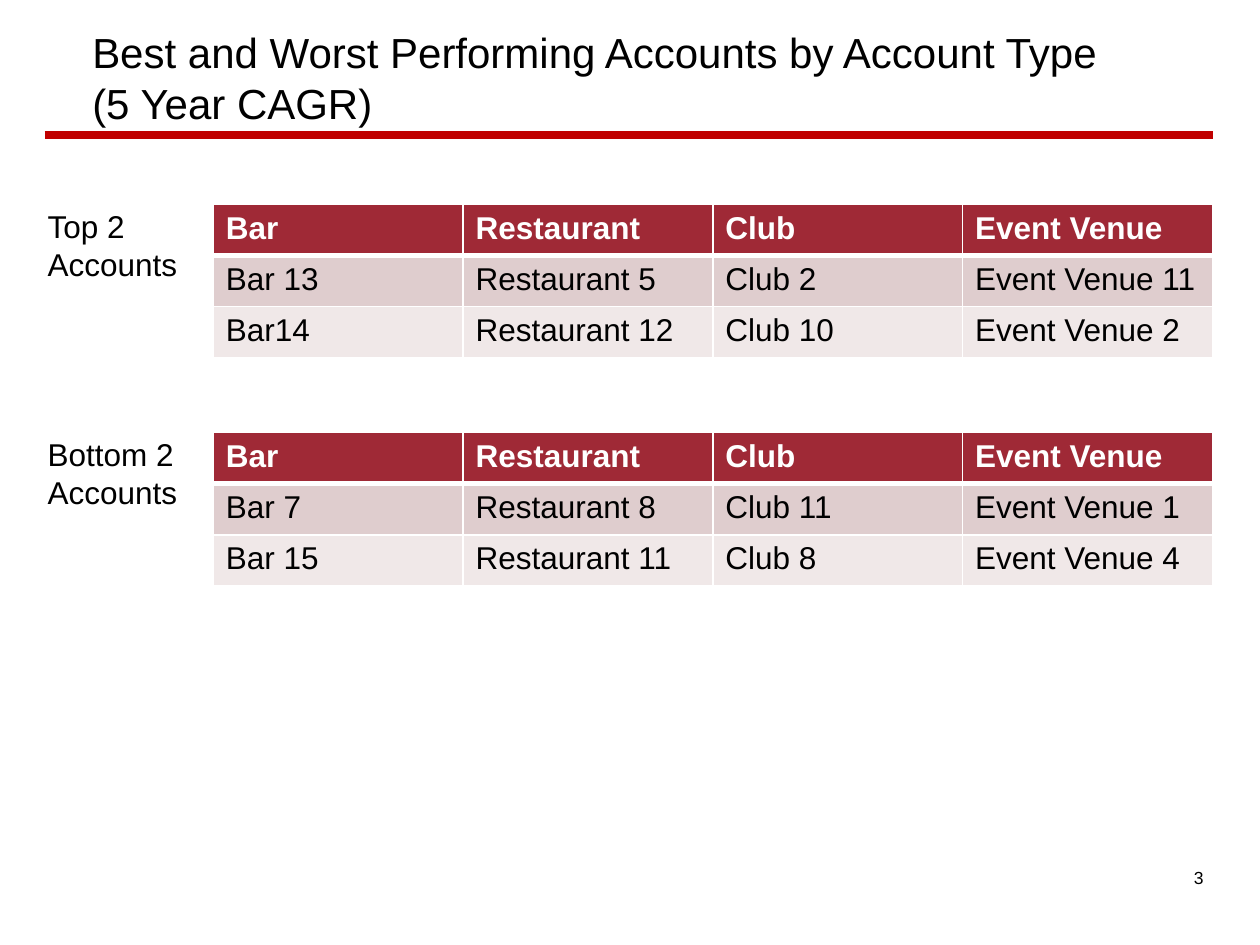
from lxml import etree
from pptx import Presentation, util as u
from pptx.dml.color import RGBColor
from pptx.enum import shapes, text
from pptx.oxml import ns

BLACK = RGBColor(0, 0, 0)
WHITE = RGBColor(0xFF, 0xFF, 0xFF)
RULE_RED = RGBColor(0xC0, 0, 0)
HEADER_RED = RGBColor(0x9F, 0x29, 0x36)
BANDS = RGBColor(0xDF, 0xCD, 0xCE), RGBColor(0xF0, 0xE8, 0xE8)


class Deck:
    font = "Arial"
    body_size = 18

    def __init__(self, width, height):
        self.prs = Presentation()
        self.prs.slide_width, self.prs.slide_height = u.Cm(width), u.Cm(height)
        self.s = self.prs.slides.add_slide(self.prs.slide_layouts[5])

    def style(self, tf, size, color=BLACK, bold=False, align=text.PP_ALIGN.LEFT):
        for p in tf.paragraphs:
            p.alignment = align
            f = p.font
            f.name, f.size, f.bold = self.font, u.Pt(size), bold
            f.color.rgb = color

    def title(self, words, x, y, w, h):
        sp = self.s.shapes.title
        sp.left, sp.top, sp.width, sp.height = map(u.Cm, (x, y, w, h))
        tf = sp.text_frame
        tf.text = words
        tf.auto_size = text.MSO_AUTO_SIZE.NONE
        tf.vertical_anchor = text.MSO_ANCHOR.MIDDLE
        tf.margin_left = u.Cm(1)
        self.style(tf, 24)

    def label(self, words, x, y, w, h, size=body_size, align=text.PP_ALIGN.LEFT):
        tf = self.s.shapes.add_textbox(*map(u.Cm, (x, y, w, h))).text_frame
        tf.word_wrap = True
        tf.text = words
        self.style(tf, size, align=align)

    def rule(self, x1, x2, y, color, weight):
        line = self.s.shapes.add_connector(
            shapes.MSO_CONNECTOR.STRAIGHT, *map(u.Cm, (x1, y, x2, y)))
        line.line.color.rgb, line.line.width = color, u.Pt(weight)
        etree.SubElement(line._element.spPr, ns.qn("a:effectLst"))

    def border(self, cell, side, weight):
        tcPr = cell._tc.get_or_add_tcPr()
        ln = etree.SubElement(tcPr, ns.qn("a:ln" + side), w=str(u.Pt(weight)))
        fill = etree.SubElement(ln, ns.qn("a:solidFill"))
        etree.SubElement(fill, ns.qn("a:srgbClr"), val=str(WHITE))

    def table(self, rows, x, y, w, h):
        tbl = self.s.shapes.add_table(
            len(rows), len(rows[0]), *map(u.Cm, (x, y, w, h))).table
        for i, row in enumerate(rows):
            for j, words in enumerate(row):
                cell = tbl.cell(i, j)
                cell.text = words
                self.style(cell.text_frame, self.body_size,
                           BLACK if i else WHITE, bold=i == 0)
                # Thick line between header and body
                for side in "LRTB":
                    thick = (i, side) in ((0, "B"), (1, "T"))
                    self.border(cell, side, 3 if thick else 1)
                cell.fill.solid()
                cell.fill.fore_color.rgb = BANDS[(i - 1) % 2] if i else HEADER_RED


deck = Deck(25.4, 19.05)

# Title, rule and page number
deck.title("Best and Worst Performing Accounts by Account Type \v(5 Year CAGR)",
           0.86, 0.36, 23.6, 2.39)
deck.rule(0.9, 24.46, 2.72, RULE_RED, 4.5)
deck.label("3", 17.78, 17.35, 6.73, 1.32, size=10, align=text.PP_ALIGN.RIGHT)

# Ranked accounts, one table per group
HEADER = ["Bar", "Restaurant", "Club", "Event Venue"]
GROUPS = {
    "Top 2 Accounts": [
        ["Bar 13", "Restaurant 5", "Club 2", "Event Venue 11"],
        ["Bar14", "Restaurant 12", "Club 10", "Event Venue 2"]],
    "Bottom 2 Accounts": [
        ["Bar 7", "Restaurant 8", "Club 11", "Event Venue 1"],
        ["Bar 15", "Restaurant 11", "Club 8", "Event Venue 4"]],
}
for n, (name, accounts) in enumerate(GROUPS.items()):
    top = 4.12 + 4.6 * n
    deck.label(name, 0.71, top - 0.07, 4.19, 1.8)
    deck.table([HEADER] + accounts, 4.3, top, 20.14, 3.09)

deck.prs.save("out.pptx")
